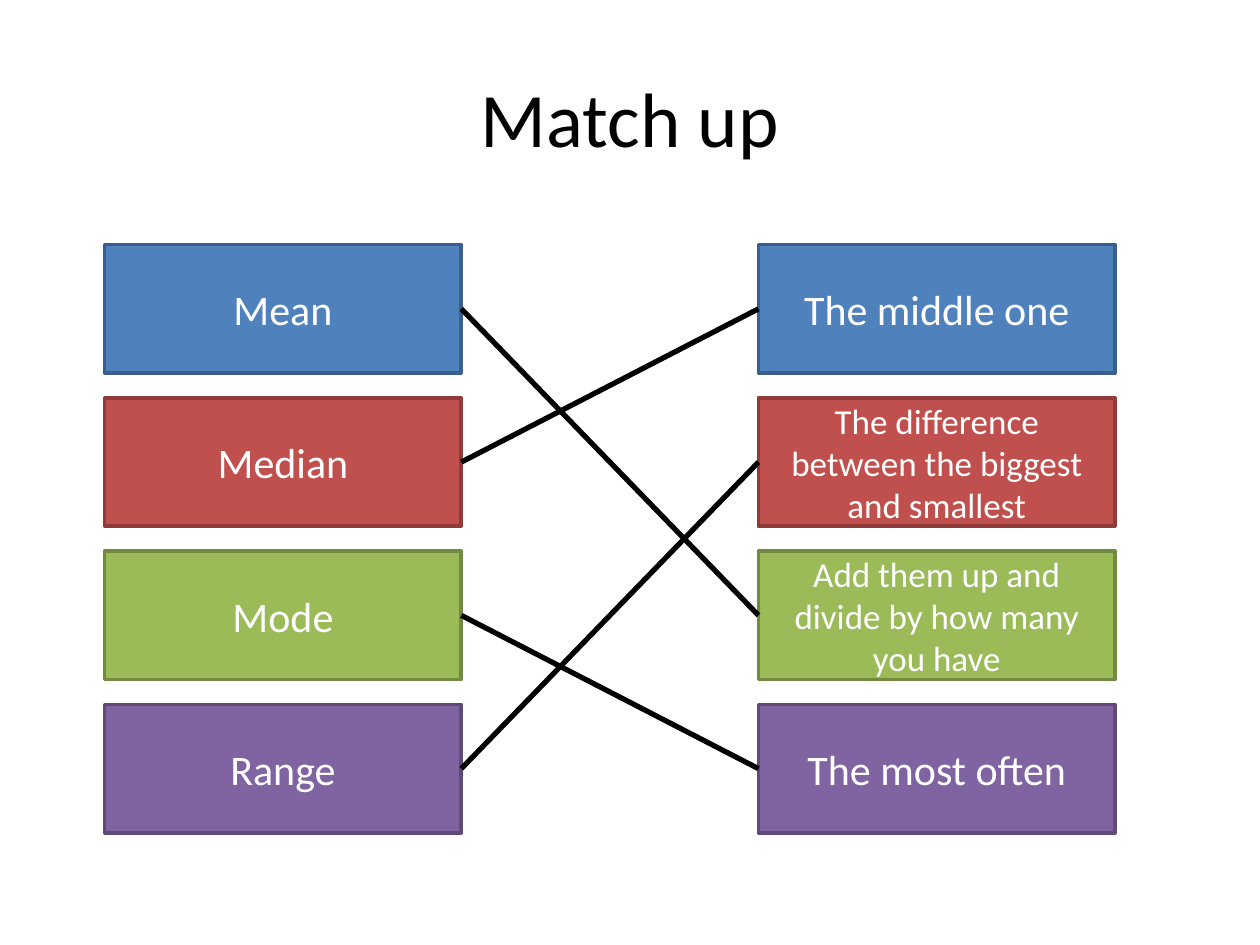
from pptx import Presentation
from pptx.dml.color import RGBColor
from pptx.enum.shapes import MSO_CONNECTOR, MSO_SHAPE
from pptx.enum.text import MSO_ANCHOR, PP_ALIGN
from pptx.oxml.xmlchemy import OxmlElement
from pptx.util import Cm, Pt

BLACK = RGBColor(0x00, 0x00, 0x00)
WHITE = RGBColor(0xFF, 0xFF, 0xFF)
BLUE, DARK_BLUE = RGBColor(0x4F, 0x81, 0xBD), RGBColor(0x3A, 0x5F, 0x8C)
RED, DARK_RED = RGBColor(0xC0, 0x50, 0x4D), RGBColor(0x8E, 0x3B, 0x39)
GREEN, DARK_GREEN = RGBColor(0x9B, 0xBB, 0x59), RGBColor(0x73, 0x8A, 0x42)
PURPLE, DARK_PURPLE = RGBColor(0x80, 0x64, 0xA2), RGBColor(0x5F, 0x4A, 0x78)

FONT = "Calibri"
TERM_LEFT, MEANING_LEFT = Cm(2.11), Cm(15.29)
FIRST_TOP, ROW_PITCH = Cm(4.93), Cm(3.09)
CARD_WIDTH, CARD_HEIGHT = Cm(7.19), Cm(2.59)
RIGHT_SIDE, LEFT_SIDE = 3, 1

ROWS = [
    # term, meaning, meaning size, fill, outline
    ("Mean", "The middle one", 24, BLUE, DARK_BLUE),
    ("Median", "The difference between the biggest and smallest", 20, RED, DARK_RED),
    ("Mode", "Add them up and divide by how many you have", 20, GREEN, DARK_GREEN),
    ("Range", "The most often", 24, PURPLE, DARK_PURPLE),
]
MATCHES = [2, 0, 3, 1]  # row of the right meaning for each term


def format_text(frame, text, size, color):
    frame.text = text
    frame.word_wrap = True
    frame.vertical_anchor = MSO_ANCHOR.MIDDLE
    paragraph = frame.paragraphs[0]
    paragraph.alignment = PP_ALIGN.CENTER
    paragraph.font.name = FONT
    paragraph.font.size = Pt(size)
    paragraph.font.color.rgb = color


def add_card(left, top, text, size, fill, outline):
    card = slide.shapes.add_shape(
        MSO_SHAPE.RECTANGLE, left, top, CARD_WIDTH, CARD_HEIGHT)
    card.shadow.inherit = False
    card.fill.solid()
    card.fill.fore_color.rgb = fill
    card.line.color.rgb = outline
    card.line.width = Pt(2)
    format_text(card.text_frame, text, size, WHITE)
    return card


prs = Presentation()
prs.slide_width, prs.slide_height = Cm(25.4), Cm(19.05)
slide = prs.slides.add_slide(prs.slide_layouts[5])

title = slide.shapes.title
title.left, title.top, title.width, title.height = Cm(1.27), Cm(0.76), Cm(22.86), Cm(3.18)
format_text(title.text_frame, "Match up", 44, BLACK)

terms, meanings = [], []
for row, (term, meaning, meaning_size, fill, outline) in enumerate(ROWS):
    top = FIRST_TOP + row * ROW_PITCH
    terms.append(add_card(TERM_LEFT, top, term, 24, fill, outline))
    meanings.append(add_card(MEANING_LEFT, top, meaning, meaning_size, fill, outline))

for term_card, match in zip(terms, MATCHES):
    link = slide.shapes.add_connector(MSO_CONNECTOR.STRAIGHT, 0, 0, 0, 0)
    link.begin_connect(term_card, RIGHT_SIDE)
    link.end_connect(meanings[match], LEFT_SIDE)
    link.line.color.rgb = BLACK
    link.line.width = Pt(3)
    link._element.spPr.append(OxmlElement("a:effectLst"))

prs.save("out.pptx")
